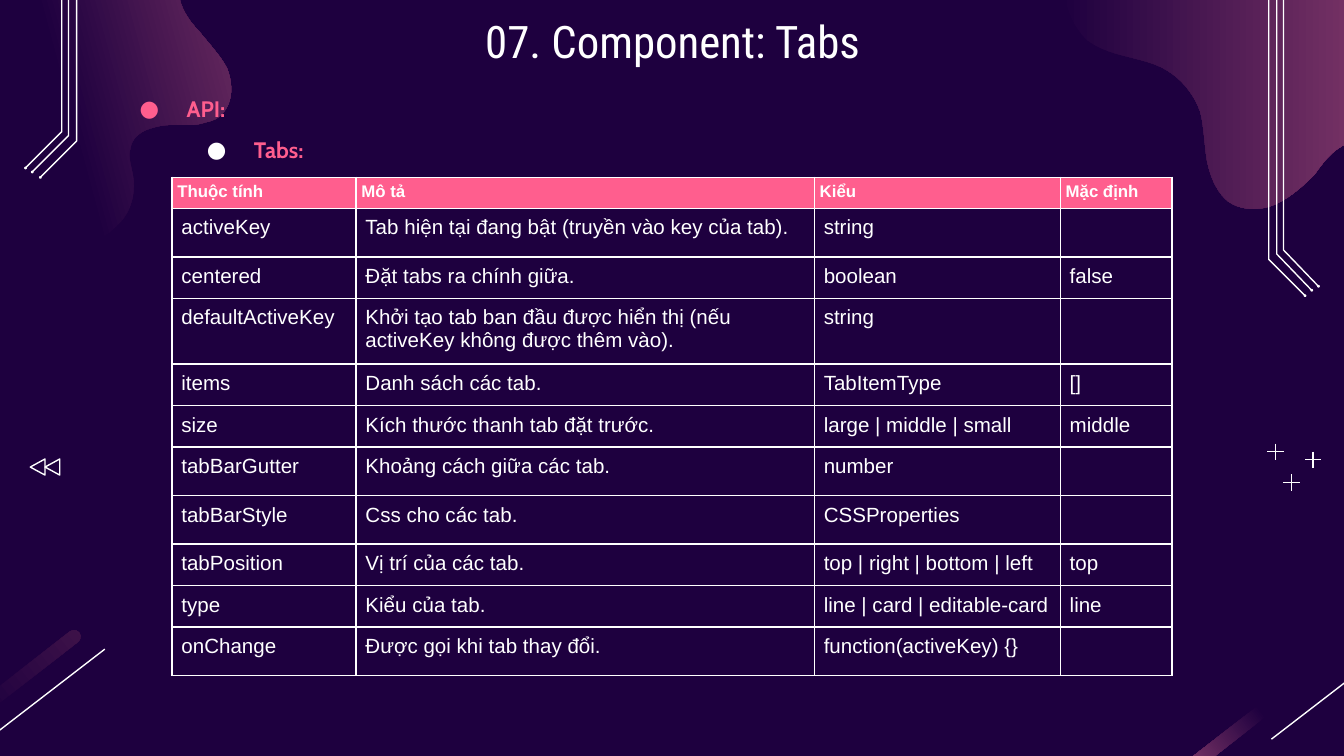
from dataclasses import dataclass

import pptx
import pptx.dml.color
import pptx.enum.shapes
import pptx.enum.text
import pptx.oxml
import pptx.oxml.ns
import pptx.util
from pptx.util import Inches

COLORS = {"bg": "1E003F", "mauve": "A64D79", "plum": "3E1249",
          "pink": "FF5E8E", "white": "FFFFFF"}
SHAPES = pptx.enum.shapes.MSO_SHAPE
Point = tuple[float, float]


@dataclass
class Blob:
    start: Point
    curves: list[tuple[float, ...]]  # control, control, end
    closing: list[Point]             # straight sides beyond the slide edge
    first_stop: float
    angle: float


@dataclass
class Trace:
    x: float
    elbow: float
    end: Point


@dataclass
class Bar:
    x: float
    angle: float
    tip: str


BLOBS = [
    Blob((0.48, 1.9),
         [(0.74, 1.83, 0.86, 1.69, 0.9, 1.65), (0.98, 1.56, 1.01, 1.43, 0.99, 1.31),
          (0.98, 1.24, 0.95, 1.17, 0.97, 1.11), (0.98, 1.02, 1.06, 0.97, 1.14, 0.95),
          (1.24, 0.92, 1.33, 0.93, 1.42, 0.93), (1.46, 0.93, 1.5, 0.92, 1.53, 0.91),
          (1.58, 0.9, 1.63, 0.88, 1.66, 0.84), (1.74, 0.75, 1.73, 0.61, 1.69, 0.51),
          (1.64, 0.41, 1.55, 0.32, 1.48, 0.23), (1.4, 0.15, 1.33, 0.04, 1.33, -0.07)],
         [(1.43, -0.31), (2.58, -0.87), (1.67, -1.51), (-1.94, 0.22), (-0.13, 1.33)],
         0.5, 15),
    Blob((7.89, -0.38),
         [(7.89, -0.31, 7.89, -0.24, 7.9, -0.18), (7.91, 0, 7.96, 0.18, 8.09, 0.3),
          (8.25, 0.42, 8.47, 0.42, 8.64, 0.5), (8.78, 0.57, 8.88, 0.69, 8.93, 0.83),
          (8.96, 0.94, 8.96, 1.07, 8.98, 1.19), (9, 1.3, 9.05, 1.43, 9.14, 1.5),
          (9.24, 1.57, 9.38, 1.57, 9.49, 1.52), (9.6, 1.47, 9.69, 1.39, 9.78, 1.3),
          (9.83, 1.23, 9.88, 1.16, 9.95, 1.11), (10.02, 1.06, 10.1, 1.03, 10.18, 1.06)],
         [(11.25, 0.38), (10.58, -0.77), (8.67, -1.48)], 0, 0),
]
BARS = [Bar(-0.16, 0, "plum"), Bar(9.39, 180, "mauve")]
TRACES = [
    Trace(9.55, 1.86, (9.81, 2.13)), Trace(9.5, 1.89, (9.76, 2.16)),
    Trace(9.44, 1.93, (9.71, 2.2)), Trace(0.46, 0.98, (0.19, 1.25)),
    Trace(0.51, 1.01, (0.24, 1.28)), Trace(0.57, 1.05, (0.3, 1.32)),
]
PLUSES = [(9.61, 3.59), (9.77, 3.42), (9.49, 3.36)]
COLS = [1.37, 3.41, 1.83, 0.83]
ROWS = [
    ("Thuộc tính", "Mô tả", "Kiểu", "Mặc định"),
    ("activeKey", "Tab hiện tại đang bật (truyền vào key của tab).", "string", ""),
    ("centered", "Đặt tabs ra chính giữa.", "boolean", "false"),
    ("defaultActiveKey", "Khởi tạo tab ban đầu được hiển thị "
     "(nếu activeKey không được thêm vào).", "string", ""),
    ("items", "Danh sách các tab.", "TabItemType", "[]"),
    ("size", "Kích thước thanh tab đặt trước.", "large | middle | small", "middle"),
    ("tabBarGutter", "Khoảng cách giữa các tab.", "number", ""),
    ("tabBarStyle", "Css cho các tab.", "CSSProperties", ""),
    ("tabPosition", "Vị trí của các tab.", "top | right | bottom | left", "top"),
    ("type", "Kiểu của tab.", "line | card | editable-card", "line"),
    ("onChange", "Được gọi khi tab thay đổi.", "function(activeKey) {}", ""),
]


def rgb(name: str):
    return pptx.dml.color.RGBColor.from_string(COLORS[name])


def write(p, text: str, *, size: float, font="Arial", color="white", bold=False) -> None:
    if not text:
        p._p.get_or_add_endParaRPr().set("sz", str(size * 100))
        return
    r = p.add_run()
    r.text = text
    r.font.size, r.font.name, r.font.bold = pptx.util.Pt(size), font, bold
    r.font.color.rgb = rgb(color)


def add_xml(parent, xml: str, index: int) -> None:
    ns = pptx.oxml.ns.nsdecls("a")
    parent.insert(index, pptx.oxml.parse_xml(xml.replace(" ", f" {ns} ", 1)))


def outline(sp) -> None:
    sp.line.color.rgb = rgb("white")
    sp.line.width = pptx.util.Pt(0.75)


def fade(sp, first_stop: float, angle: float, tip="mauve") -> None:
    sp.line.fill.background()
    sp.fill.gradient()
    sp.fill.gradient_angle = angle
    for stop, pos, name in zip(sp.fill.gradient_stops, (first_stop, 1), ("bg", tip)):
        stop.position, stop.color.rgb = pos, rgb(name)


def draw_path(s, points: list[Point], close: bool):
    emu = [(Inches(x), Inches(y)) for x, y in points]
    builder = s.shapes.build_freeform(*emu[0])
    builder.add_line_segments(emu[1:], close=close)
    sp = builder.convert_to_shape()
    sp.shadow.inherit = False
    return sp


def draw_blob(s, blob: Blob, steps=10) -> None:
    points = [blob.start]
    for x1, y1, x2, y2, x3, y3 in blob.curves:
        x0, y0 = points[-1]
        for t in (i / steps for i in range(1, steps + 1)):
            u = 1 - t
            a, b, c, d = u**3, 3 * u * u * t, 3 * u * t * t, t**3
            points.append((a * x0 + b * x1 + c * x2 + d * x3,
                           a * y0 + b * y1 + c * y2 + d * y3))
    fade(draw_path(s, points + blob.closing, True), blob.first_stop, blob.angle)


def draw_line(s, x1: float, y1: float, x2: float, y2: float) -> None:
    line = s.shapes.add_connector(pptx.enum.shapes.MSO_CONNECTOR.STRAIGHT,
                                  Inches(x1), Inches(y1), Inches(x2), Inches(y2))
    outline(line)
    sp_pr = line._element.spPr
    add_xml(sp_pr, "<a:effectLst />", len(sp_pr))


def draw_shape(s, kind, x: float, y: float, w: float, h: float, rotation=0.0):
    sp = s.shapes.add_shape(kind, Inches(x), Inches(y), Inches(w), Inches(h))
    sp.rotation = rotation
    sp.shadow.inherit = False
    return sp


def draw_bar(s, bar: Bar) -> None:
    sp = draw_shape(s, SHAPES.ROUNDED_RECTANGLE, bar.x - 0.95, 5.24, 1.9, 0.1, -37.9)
    sp.adjustments[0] = 0.5
    fade(sp, 0.5, bar.angle, bar.tip)
    draw_line(s, bar.x + 0.94, 4.83, bar.x + 0.07, 5.5)


def draw_trace(s, trace: Trace) -> None:
    sp = draw_path(s, [(trace.x, -1.19), (trace.x, trace.elbow), trace.end], False)
    sp.fill.background()
    outline(sp)
    x, y = trace.end
    dot = draw_shape(s, SHAPES.OVAL, x - 0.01, y - 0.01, 0.02, 0.02)
    dot.fill.solid()
    dot.fill.fore_color.rgb = rgb("white")
    dot.line.fill.background()


def draw_bullet(p, text: str, level: int, color: str) -> None:
    p.level, p.line_spacing = level, 1.5
    p_pr = p._p.get_or_add_pPr()
    p_pr.set("marL", str(Inches(0.5 * (level + 1))))
    p_pr.set("indent", str(Inches(-0.35)))
    for xml in (f'<a:buClr ><a:srgbClr val="{COLORS[color]}"/></a:buClr>',
                '<a:buFont typeface="Cabin"/>', '<a:buChar char="●"/>'):
        add_xml(p_pr, xml, len(p_pr))
    write(p, text, size=12, font="Cabin", color="pink", bold=True)


def draw_table(s) -> None:
    frame = s.shapes.add_table(len(ROWS), len(COLS), Inches(1.28), Inches(1.32),
                               Inches(sum(COLS)), Inches(3.69))
    table = frame.table
    table.first_row = table.horz_banding = False
    for col, width in zip(table.columns, COLS):
        col.width = Inches(width)
    for i, row in enumerate(ROWS):
        header = i == 0
        height = (0.22 if header else 0.48 if len(row[1]) > 50
                  else 0.31 if row[3] else 0.36)
        table.rows[i].height = Inches(height)
        for cell, text in zip(table.rows[i].cells, row):
            cell.margin_left = cell.margin_right = Inches(0.04 if header else 0.07)
            cell.margin_top = cell.margin_bottom = Inches(0.04 if header else 0.06)
            if header:
                cell.fill.solid()
                cell.fill.fore_color.rgb = rgb("pink")
            else:
                cell.fill.background()
            for n, side in enumerate("LRTB"):
                add_xml(cell._tc.get_or_add_tcPr(),
                        f'<a:ln{side} w="12700"><a:solidFill><a:srgbClr '
                        f'val="{COLORS["white"]}"/></a:solidFill></a:ln{side}>', n)
            write(cell.text_frame.paragraphs[0], text, size=9 if header else 11, bold=header)


def main() -> None:
    prs = pptx.Presentation()
    prs.slide_width = Inches(10)
    prs.slide_height = prs.slide_width * 9 // 16
    s = prs.slides.add_slide(prs.slide_layouts[5])
    s.background.fill.solid()
    s.background.fill.fore_color.rgb = rgb("bg")

    # Decoration
    for blob in BLOBS:
        draw_blob(s, blob)
    for bar in BARS:
        draw_bar(s, bar)
    for trace in TRACES:
        draw_trace(s, trace)
    for x, y in PLUSES:
        draw_line(s, x - 0.06, y, x + 0.06, y)
        draw_line(s, x, y - 0.06, x, y + 0.06)
    for x in (0.22, 0.33):
        arrow = draw_shape(s, SHAPES.ISOSCELES_TRIANGLE, x, 3.42, 0.12, 0.11, 270)
        arrow.fill.background()
        outline(arrow)

    # Title
    title = s.shapes.title
    title.left, title.top, title.width, title.height = map(Inches, (0.79, 0, 8.43, 0.63))
    tf = title.text_frame
    tf.auto_size = pptx.enum.text.MSO_AUTO_SIZE.NONE
    tf.vertical_anchor = pptx.enum.text.MSO_ANCHOR.TOP
    tf.margin_top = Inches(0.1)
    tf.paragraphs[0].alignment = pptx.enum.text.PP_ALIGN.CENTER
    write(tf.paragraphs[0], "07. Component: Tabs", size=24, font="Roboto Condensed")

    # Bullets
    tf = s.shapes.add_textbox(*map(Inches, (0.79, 0.51, 8.12, 0.73))).text_frame
    tf.word_wrap = True
    tf.margin_left = tf.margin_right = tf.margin_top = tf.margin_bottom = Inches(0.1)
    draw_bullet(tf.paragraphs[0], "API:", 0, "pink")
    draw_bullet(tf.add_paragraph(), "Tabs:", 1, "white")

    # Properties
    draw_table(s)
    prs.save("out.pptx")


if __name__ == "__main__":
    main()
